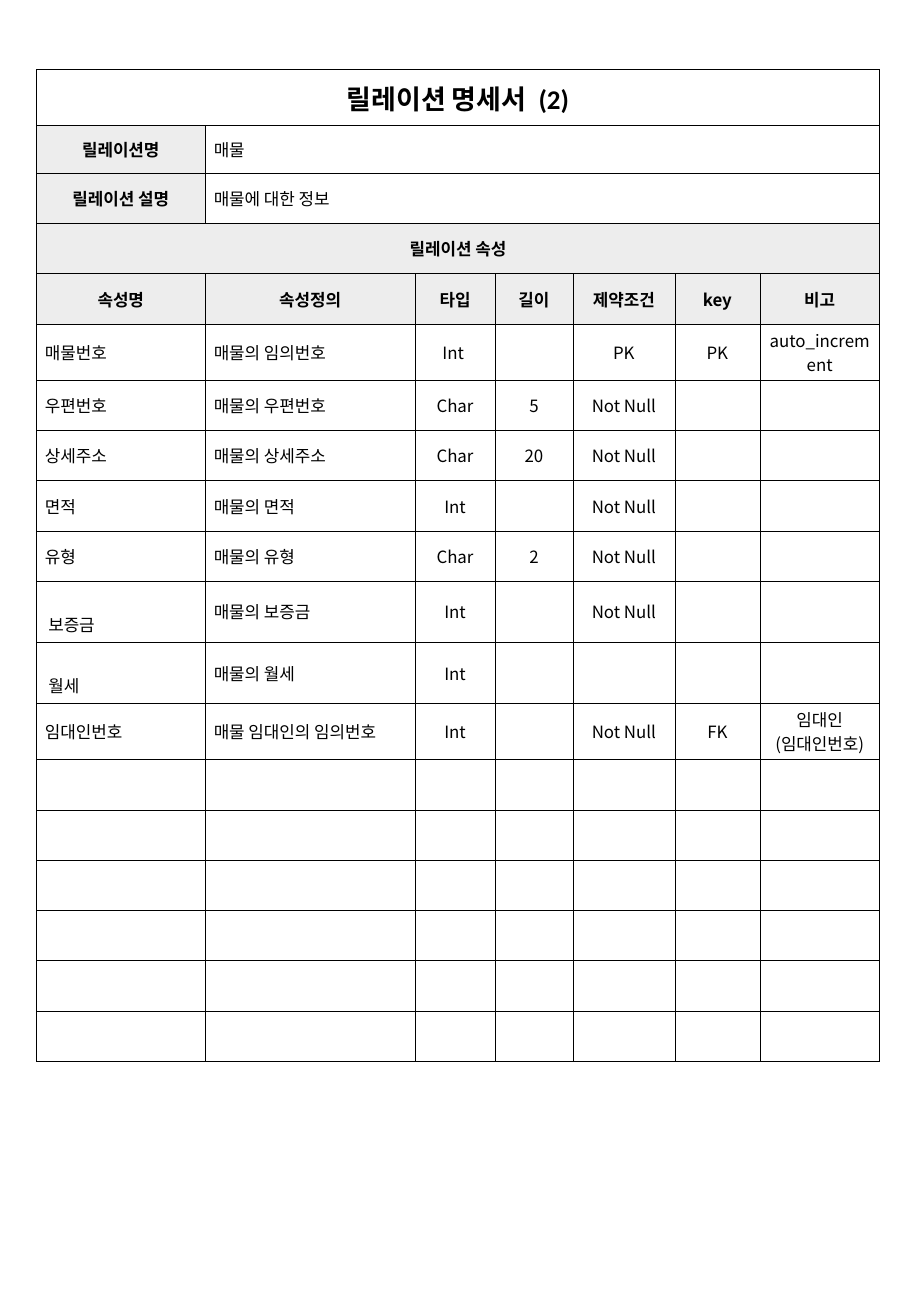
from lxml.etree import SubElement
from pptx import Presentation
from pptx.dml.color import RGBColor
from pptx.enum.text import MSO_ANCHOR, PP_ALIGN
from pptx.oxml.ns import qn
from pptx.util import Cm, Pt

COLORS = {"ink": "000000", "paper": "FFFFFF", "label": "EDEDED"}
LATIN, KOREAN = "Calibri", "Noto Sans CJK KR"

COL_WIDTHS = [3.53, 4.39, 1.67, 1.63, 2.13, 1.78, 2.5]
TITLE_HEIGHT, NAME_HEIGHT, ROW_HEIGHT = 1.17, 1, 1.05
BLANK_ROWS = 6

TITLE = "릴레이션 명세서  (2)"
SUMMARY = [("릴레이션명", "매물", KOREAN), ("릴레이션 설명", "매물에 대한 정보", LATIN)]
SECTION = "릴레이션 속성"
HEADINGS = ["속성명", "속성정의", "타입", "길이", "제약조건", "key", "비고"]
ATTRIBUTES = [
    ["매물번호", "매물의 임의번호", "Int ", "", "PK", "PK", "auto_increment"],
    ["우편번호", "매물의 우편번호", "Char", "5", "Not Null", "", ""],
    ["상세주소", "매물의 상세주소", "Char", "20", "Not Null", "", ""],
    ["면적", "매물의 면적", "Int", "", "Not Null", "", ""],
    ["유형", "매물의 유형", "Char", "2", "Not Null", "", ""],
    ["보증금", "매물의 보증금", "Int", "", "Not Null", "", ""],
    ["월세", "매물의 월세", "Int", "", "", "", ""],
    ["임대인번호", "매물 임대인의 임의번호", "Int", "", "Not Null", "FK", "임대인\n(임대인번호)"],
]
DOUBLE_SPACED = {"보증금", "월세"}


def rgb(name):
    return RGBColor.from_string(COLORS[name])


def frame_cell(cell, fill="paper"):
    """Give a cell thin borders on all sides, a fill and tight margins."""
    tc_pr = cell._tc.get_or_add_tcPr()
    for side in ("a:lnL", "a:lnR", "a:lnT", "a:lnB"):
        line = SubElement(tc_pr, qn(side), w=str(Pt(0.25)))
        color = SubElement(line, qn("a:solidFill"))
        SubElement(color, qn("a:srgbClr"), val=COLORS["ink"])
    cell.fill.solid()
    cell.fill.fore_color.rgb = rgb(fill)
    cell.vertical_anchor = MSO_ANCHOR.MIDDLE
    cell.margin_left = cell.margin_right = Cm(0.18)
    cell.margin_top = cell.margin_bottom = Cm(0.08)


def write(cell, text, size=10, bold=False, font=KOREAN, centered=True):
    cell.text_frame.text = text
    for p in cell.text_frame.paragraphs:
        p.alignment = PP_ALIGN.CENTER if centered else PP_ALIGN.LEFT
        for r in p.runs:
            r.font.size, r.font.bold, r.font.name = Pt(size), bold, font
            r.font.color.rgb = rgb("ink")


def write_label(cell, text):
    cell.fill.fore_color.rgb = rgb("label")
    write(cell, text, bold=True)


def write_double_spaced(cell, text):
    write(cell, text, font=LATIN, centered=False)
    cell.text_frame.paragraphs[0].line_spacing = 2.0
    cell.vertical_anchor = MSO_ANCHOR.TOP
    cell.margin_left = cell.margin_right = Cm(0.25)
    cell.margin_top = cell.margin_bottom = Cm(0.13)


def fill_header(table):
    last = len(COL_WIDTHS) - 1
    table.cell(0, 0).merge(table.cell(0, last))
    write(table.cell(0, 0), TITLE, size=16, bold=True, font=LATIN)
    for row, (label, value, font) in enumerate(SUMMARY, start=1):
        table.cell(row, 1).merge(table.cell(row, last))
        write_label(table.cell(row, 0), label)
        write(table.cell(row, 1), value, font=font, centered=False)
    section_row = len(SUMMARY) + 1
    table.cell(section_row, 0).merge(table.cell(section_row, last))
    write_label(table.cell(section_row, 0), SECTION)
    for col, heading in enumerate(HEADINGS):
        write_label(table.cell(section_row + 1, col), heading)
    return section_row + 2


def fill_attributes(table, first_row):
    for row, values in enumerate(ATTRIBUTES, start=first_row):
        for col, text in enumerate(values):
            cell = table.cell(row, col)
            if text in DOUBLE_SPACED:
                write_double_spaced(cell, text)
            elif text:
                write(cell, text, centered=col > 1)


def add_relation_table(s, left, top):
    body_rows = 2 + len(ATTRIBUTES) + BLANK_ROWS
    heights = [TITLE_HEIGHT, NAME_HEIGHT, ROW_HEIGHT] + [ROW_HEIGHT] * body_rows
    table = s.shapes.add_table(
        len(heights), len(COL_WIDTHS), Cm(left), Cm(top),
        Cm(sum(COL_WIDTHS)), Cm(sum(heights))).table
    table.first_row = table.horz_banding = False
    for column, width in zip(table.columns, COL_WIDTHS):
        column.width = Cm(width)
    for row, height in zip(table.rows, heights):
        row.height = Cm(height)
    for cell in table.iter_cells():
        frame_cell(cell)
    fill_attributes(table, fill_header(table))


def main():
    prs = Presentation()
    prs.slide_width, prs.slide_height = Cm(19.05), Cm(27.51)
    s = prs.slides.add_slide(prs.slide_layouts[6])
    add_relation_table(s, 0.76, 1.45)
    prs.save("out.pptx")


if __name__ == "__main__":
    main()
